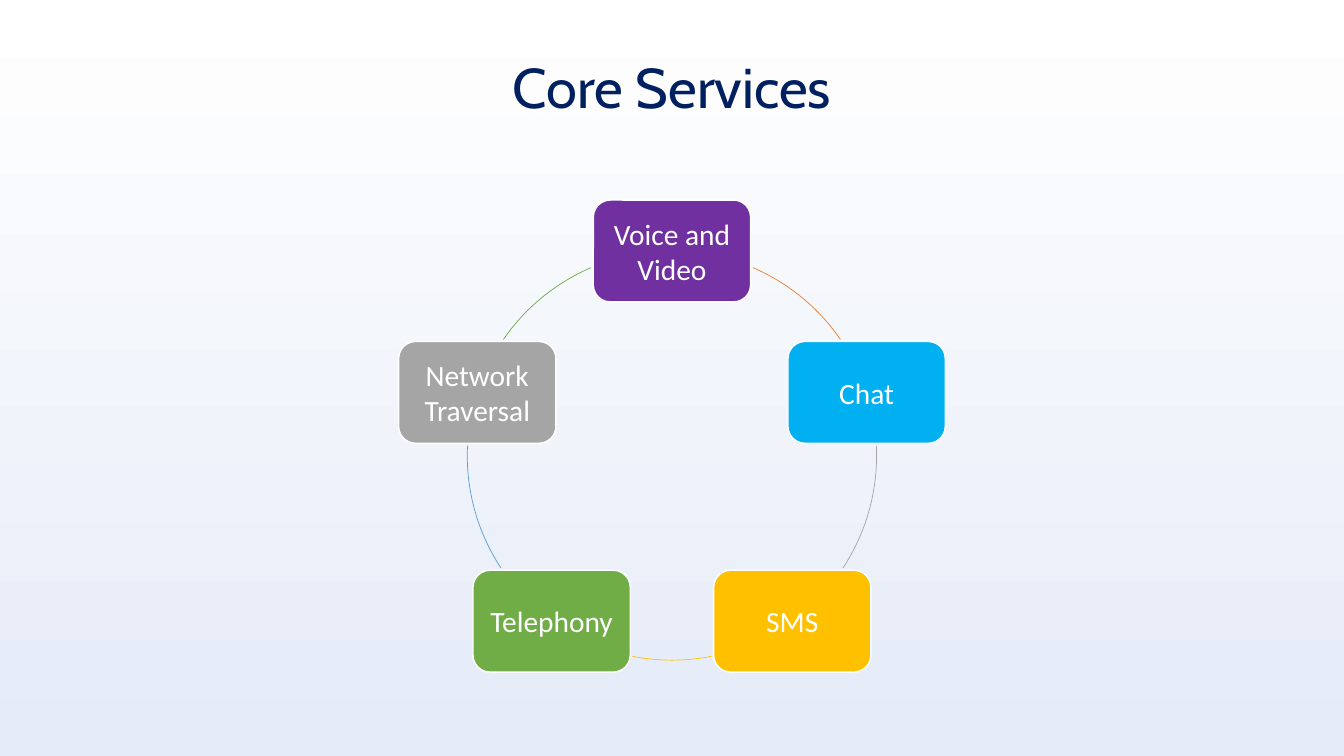
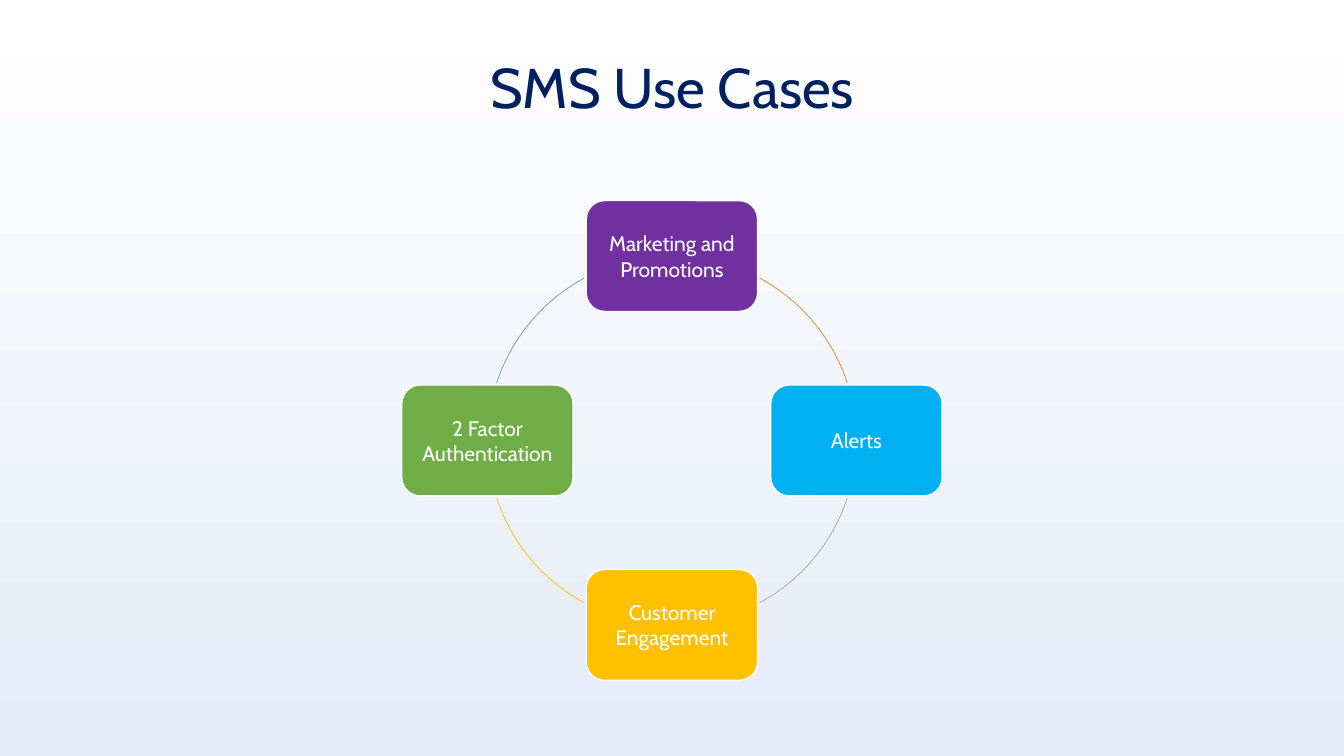
from math import cos, sin, radians
from pptx import Presentation
from pptx.dml.color import RGBColor
from pptx.enum.shapes import MSO_SHAPE
from pptx.enum.text import MSO_ANCHOR, MSO_AUTO_SIZE, PP_ALIGN
from pptx.util import Inches, Pt

HEX = {
    "white": "FFFFFF", "mist": "E5EBF7", "navy": "002060",
    "purple": "7030A0", "sky": "00B0F0", "gold": "FFC000",
    "green": "70AD47", "grey": "A5A5A5", "orange": "ED7D31", "blue": "5B9BD5",
}
FILLS = ["purple", "sky", "gold", "green", "grey"]
LINKS = ["orange", "grey", "gold", "blue", "green"]
WIDE, HIGH = 13.33, 7.5
GAP = 0.02  # between a box and the arcs beside it

SLIDES = [
    {"title": "Core Services",
     "steps": ["Voice and Video", "Chat", "SMS", "Telephony", "Network Traversal"],
     "box": (1.56, 1.01), "mid": 4.52, "radius": 2.03,
     "font": "Calibri", "size": 21, "inset": 0.09},
    {"title": "SMS Use Cases",
     "steps": ["Marketing and Promotions", "Alerts", "Customer Engagement",
               "2 Factor Authentication"],
     "box": (1.7, 1.1), "mid": 4.37, "radius": 1.83,
     "font": "Cabin", "size": 15, "inset": 0.06},
]


def color(name):
    return RGBColor.from_string(HEX[name])


def style(para, font, size, ink):
    para.alignment = PP_ALIGN.CENTER
    para.font.name, para.font.size = font, Pt(size)
    para.font.color.rgb = color(ink)


def edge(angle, way, radius, box):
    """Angle at which the ring leaves the box centred at the given angle."""
    def clear(turn):
        dx = radius * (cos(radians(turn)) - cos(radians(angle)))
        dy = radius * (sin(radians(turn)) - sin(radians(angle)))
        return abs(dx) > box[0] / 2 + GAP or abs(dy) > box[1] / 2 + GAP
    return next(t for t in (angle + way * k / 10 for k in range(1800)) if clear(t))


def add_box(slide, text, fill, x, y, data):
    wide, high = data["box"]
    box = slide.shapes.add_shape(
        MSO_SHAPE.ROUNDED_RECTANGLE, Inches(x - wide / 2), Inches(y - high / 2),
        Inches(wide), Inches(high))
    box.shadow.inherit = False
    box.fill.solid()
    box.fill.fore_color.rgb = color(fill)
    box.line.color.rgb = color("white")
    box.line.width = Pt(1)
    frame = box.text_frame
    frame.word_wrap = True
    frame.vertical_anchor = MSO_ANCHOR.MIDDLE
    frame.margin_left = frame.margin_right = Inches(data["inset"])
    frame.margin_top = frame.margin_bottom = Inches(data["inset"])
    frame.text = text
    style(frame.paragraphs[0], data["font"], data["size"], "white")


def add_arc(slide, ink, start, end, data):
    radius = data["radius"]
    arc = slide.shapes.add_shape(
        MSO_SHAPE.ARC, Inches(WIDE / 2 - radius), Inches(data["mid"] - radius),
        Inches(2 * radius), Inches(2 * radius))
    arc.shadow.inherit = False
    arc.fill.background()
    arc.line.color.rgb = color(ink)
    arc.line.width = Pt(0.5)
    for i, angle in enumerate((start, end)):
        arc.adjustments[i] = angle % 360 * 0.6  # 60000 units a degree, over 100000


def add_cycle(slide, data):
    steps, radius, box = data["steps"], data["radius"], data["box"]
    turn = 360 / len(steps)
    for i, (text, fill, link) in enumerate(zip(steps, FILLS, LINKS)):
        angle = i * turn - 90
        x = WIDE / 2 + radius * cos(radians(angle))
        y = data["mid"] + radius * sin(radians(angle))
        add_box(slide, text, fill, x, y, data)
        add_arc(slide, link, edge(angle, 1, radius, box),
                edge(angle + turn, -1, radius, box), data)


def set_theme(deck):
    """Set the shared background and title place; return the layout."""
    deck.slide_width, deck.slide_height = Inches(WIDE), Inches(HIGH)
    fill = deck.slide_master.background.fill
    fill.gradient()
    fill.gradient_angle = 270
    for stop, name in zip(fill.gradient_stops, ("white", "mist")):
        stop.color.rgb = color(name)
    layout = deck.slide_layouts[5]
    title = layout.placeholders[0]
    title.left, title.top = Inches(WIDE / 4), Inches(0.47)
    title.width, title.height = Inches(WIDE / 2), Inches(0.77)
    return layout


def main():
    deck = Presentation()
    layout = set_theme(deck)
    for data in SLIDES:
        slide = deck.slides.add_slide(layout)
        frame = slide.shapes.title.text_frame
        frame.text = data["title"]
        frame.auto_size = MSO_AUTO_SIZE.NONE
        style(frame.paragraphs[0], "Cabin", 40, "navy")
        add_cycle(slide, data)
    deck.save("out.pptx")


if __name__ == "__main__":
    main()
